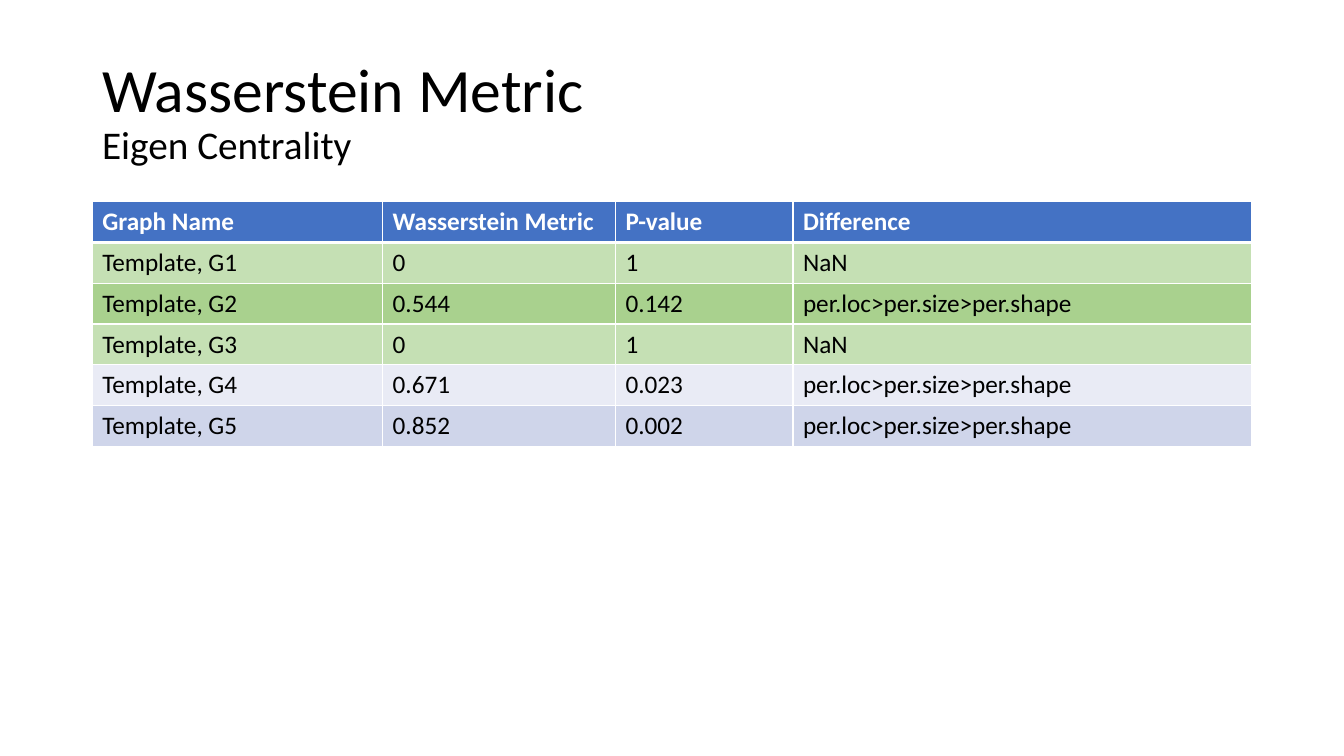
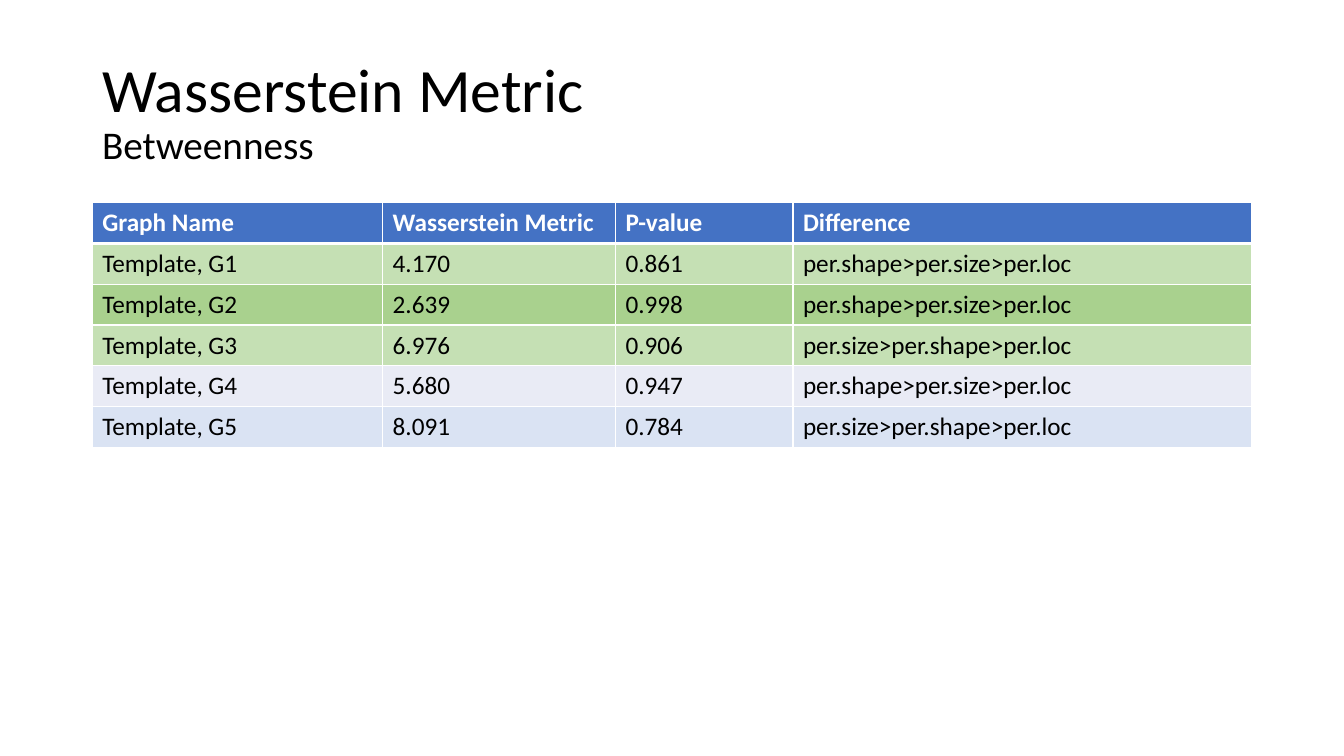
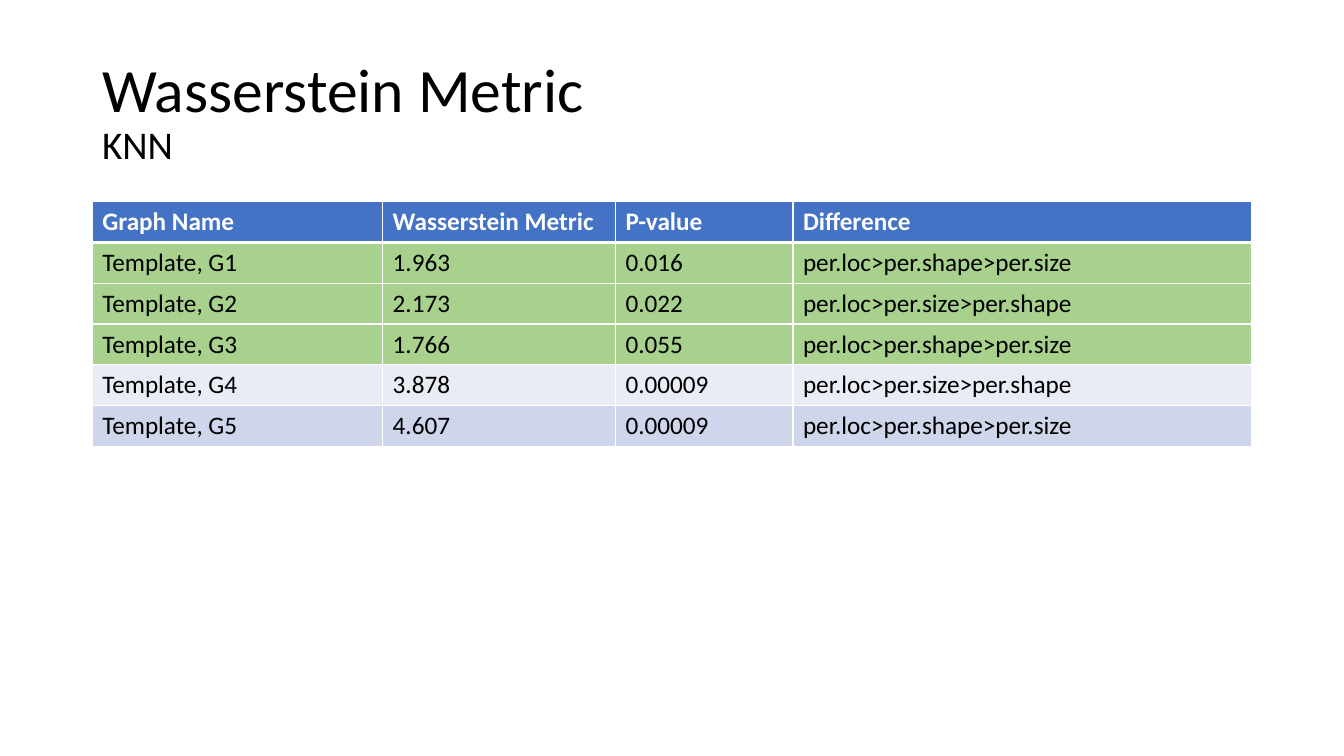
"""Build three slides of Wasserstein metric results, one per graph measure."""
from dataclasses import dataclass

from lxml import etree
from pptx import Presentation
from pptx.dml.color import RGBColor
from pptx.enum.text import MSO_ANCHOR
from pptx.oxml.ns import qn
from pptx.util import Inches, Pt

MIDDLE = MSO_ANCHOR.MIDDLE


@dataclass(frozen=True)
class Theme:
    font: str = "Calibri"
    title_size: int = 44
    subtitle_size: int = 28
    table_size: int = 18
    text: str = "000000"
    white: str = "FFFFFF"
    header: str = "4472C4"
    green: str = "A9D18E"
    pale_green: str = "C5E0B4"
    pale_grey: str = "E9EBF5"
    grey_blue: str = "CFD5EA"
    pale_blue: str = "DAE3F3"
    thin: int = 1
    thick: int = 3


THEME = Theme()
PAGE_WIDTH, PAGE_HEIGHT = Inches(13.33), Inches(7.5)
COLUMNS = [Inches(width) for width in (2.88, 2.31, 1.76, 4.55)]
CONTENT_WIDTH = sum(COLUMNS)
MARGIN = (PAGE_WIDTH - CONTENT_WIDTH) // 2
TITLE_TOP, TITLE_HEIGHT = Inches(0.4), Inches(1.45)
TABLE_HEIGHT = Inches(2.43)

HEADINGS = ("Graph Name", "Wasserstein Metric", "P-value", "Difference")
LOC_SIZE_SHAPE = "per.loc>per.size>per.shape"
LOC_SHAPE_SIZE = "per.loc>per.shape>per.size"
SHAPE_SIZE_LOC = "per.shape>per.size>per.loc"
SIZE_SHAPE_LOC = "per.size>per.shape>per.loc"
BANDED_GREEN = (THEME.pale_green, THEME.green, THEME.pale_green)

MEASURES = [
    ("Eigen Centrality", 2.0,
     BANDED_GREEN + (THEME.pale_grey, THEME.grey_blue),
     [("0", "1", "NaN"),
      ("0.544", "0.142", LOC_SIZE_SHAPE),
      ("0", "1", "NaN"),
      ("0.671", "0.023", LOC_SIZE_SHAPE),
      ("0.852", "0.002", LOC_SIZE_SHAPE)]),
    ("Betweenness", 2.01,
     BANDED_GREEN + (THEME.pale_grey, THEME.pale_blue),
     [("4.170", "0.861", SHAPE_SIZE_LOC),
      ("2.639", "0.998", SHAPE_SIZE_LOC),
      ("6.976", "0.906", SIZE_SHAPE_LOC),
      ("5.680", "0.947", SHAPE_SIZE_LOC),
      ("8.091", "0.784", SIZE_SHAPE_LOC)]),
    ("KNN", 2.0,
     (THEME.green,) * 3 + (THEME.pale_grey, THEME.grey_blue),
     [("1.963", "0.016", LOC_SHAPE_SIZE),
      ("2.173", "0.022", LOC_SIZE_SHAPE),
      ("1.766", "0.055", LOC_SHAPE_SIZE),
      ("3.878", "0.00009", LOC_SIZE_SHAPE),
      ("4.607", "0.00009", LOC_SHAPE_SIZE)]),
]


def style_font(font, size, color, bold=False):
    """Set the theme font with a size, colour and weight."""
    font.name = THEME.font
    font.size = Pt(size)
    font.bold = bold
    font.color.rgb = RGBColor.from_string(color)


def add_borders(cell, top, bottom):
    """Draw white cell borders, with the given top and bottom widths."""
    properties = cell._tc.get_or_add_tcPr()
    widths = {"lnL": THEME.thin, "lnR": THEME.thin, "lnT": top, "lnB": bottom}
    for side, width in widths.items():
        line = etree.SubElement(properties, qn(f"a:{side}"), w=str(Pt(width)))
        fill = etree.SubElement(line, qn("a:solidFill"))
        etree.SubElement(fill, qn("a:srgbClr"), val=THEME.white)


deck = Presentation()
deck.slide_width, deck.slide_height = PAGE_WIDTH, PAGE_HEIGHT
blank = deck.slide_layouts[6]

for measure, table_top, row_colors, results in MEASURES:
    slide = deck.slides.add_slide(blank)

    heading = slide.shapes.add_textbox(MARGIN, TITLE_TOP, CONTENT_WIDTH, TITLE_HEIGHT).text_frame
    heading.word_wrap = True
    heading.vertical_anchor = MIDDLE
    title = heading.paragraphs[0]
    title.text = f"Wasserstein Metric\v{measure}"
    title.line_spacing = 0.9
    for run, size in zip(title.runs, (THEME.title_size, THEME.subtitle_size)):
        style_font(run.font, size, THEME.text)

    rows = [HEADINGS] + [(f"Template, G{number}", *result) for number, result in enumerate(results, 1)]
    table = slide.shapes.add_table(
        len(rows), len(COLUMNS), MARGIN, Inches(table_top), CONTENT_WIDTH, TABLE_HEIGHT).table
    table.horz_banding = False
    for column, width in zip(table.columns, COLUMNS):
        column.width = width

    for row_index, (values, color) in enumerate(zip(rows, (THEME.header, *row_colors))):
        is_header = row_index == 0
        top = THEME.thick if row_index == 1 else THEME.thin
        bottom = THEME.thick if is_header else THEME.thin
        for cell, value in zip(table.rows[row_index].cells, values):
            cell.text = value
            style_font(cell.text_frame.paragraphs[0].runs[0].font, THEME.table_size,
                       THEME.white if is_header else THEME.text, is_header)
            add_borders(cell, top, bottom)
            cell.fill.solid()
            cell.fill.fore_color.rgb = RGBColor.from_string(color)

deck.save("out.pptx")
